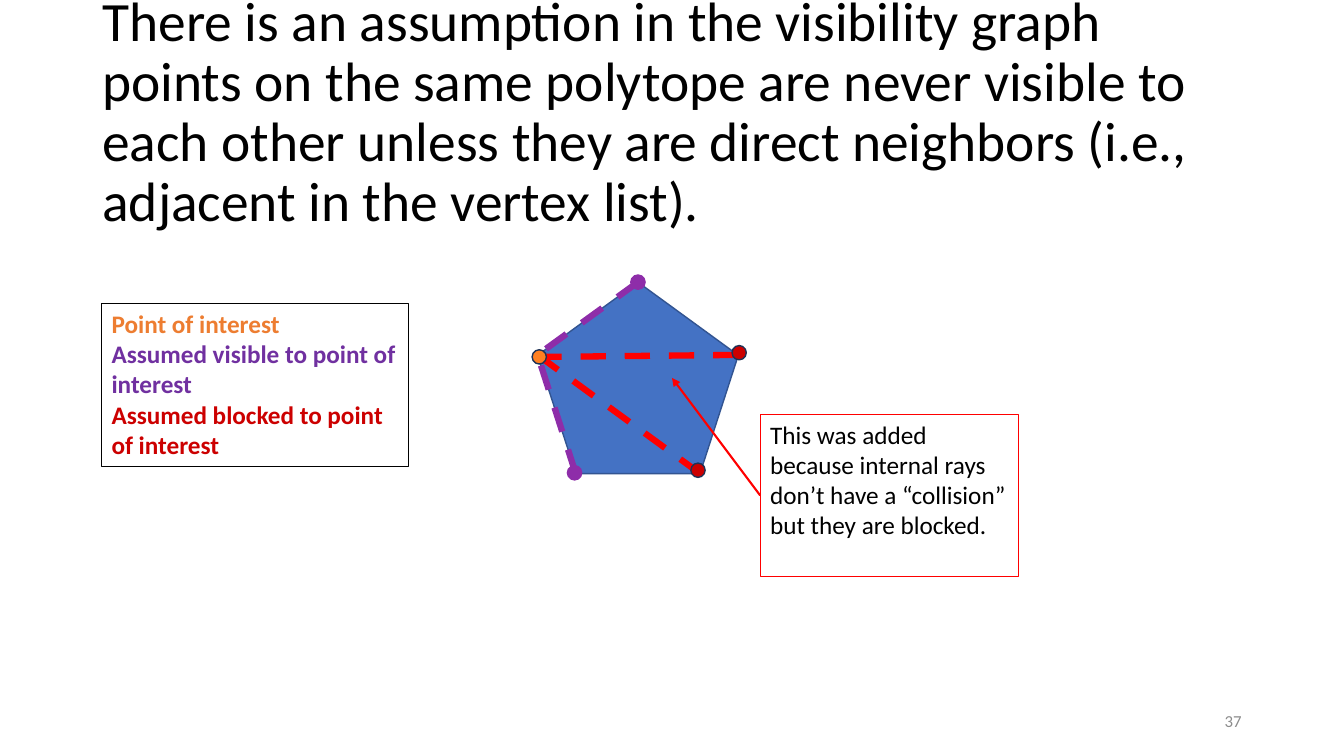
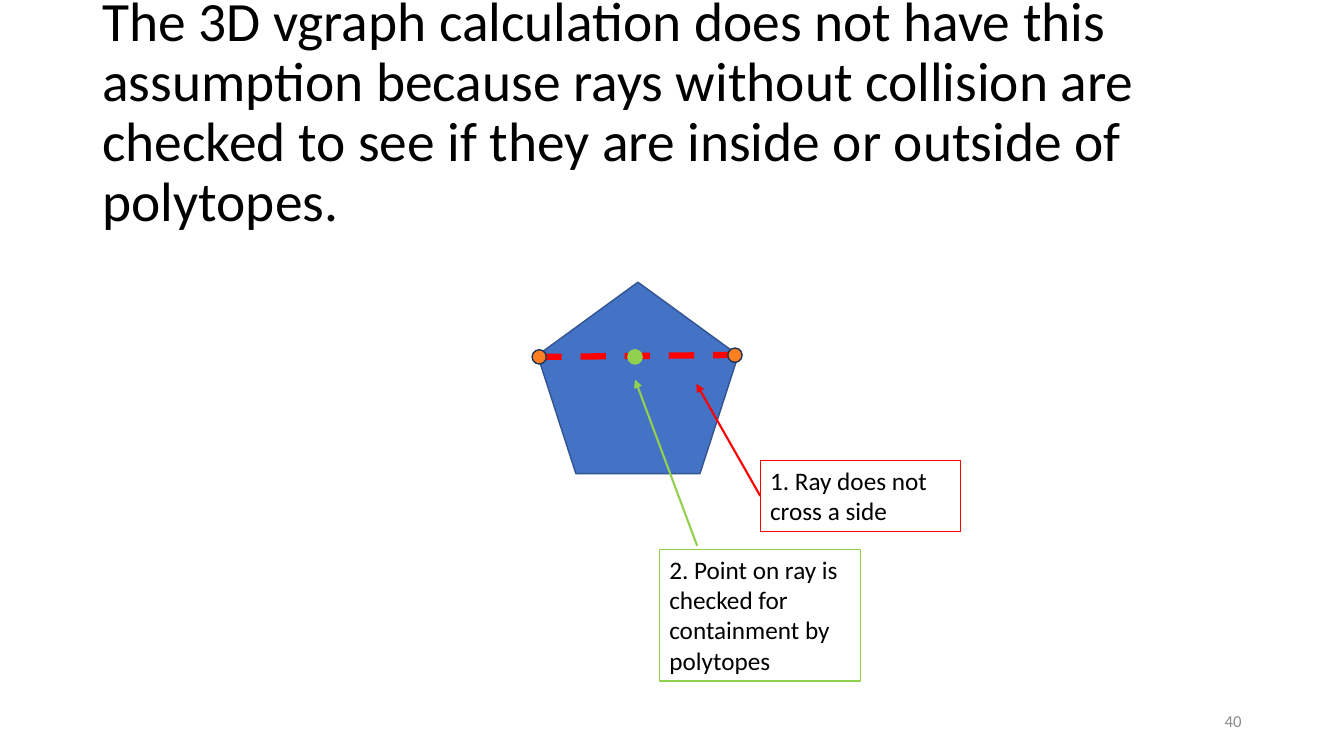
from dataclasses import dataclass
from typing import NamedTuple, Optional

from lxml.etree import SubElement
from pptx import Presentation
from pptx.dml.color import RGBColor
from pptx.enum.dml import MSO_LINE_DASH_STYLE as Dash
from pptx.enum.shapes import MSO_CONNECTOR as Connector, MSO_SHAPE as Shape
from pptx.enum.text import MSO_ANCHOR as Anchor, PP_ALIGN as Align
from pptx.oxml.ns import qn
from pptx.util import Inches, Pt

SLIDE_WIDTH, SLIDE_HEIGHT = Inches(13.33), Inches(7.5)
COLUMNS = 160  # the grid has 160 x 90 square cells
CELL = SLIDE_WIDTH / COLUMNS
FONT = "Calibri"
BLACK, GREY, NAVY = "000000", "8C8C8C", "1E3256"
BLUE, BLUE_EDGE = "4472C4", "325491"
RED, DARK_RED = "FF0000", "CC0000"
ORANGE, ORANGE_TEXT = "FF8021", "ED7D31"
PURPLE, PURPLE_TEXT = "8E2DA9", "7030A0"
GREEN = "92D050"
DOT_SIZE = 1.7
LEFT_SIDE = 1


class Point(NamedTuple):
    column: float
    row: float


class Area(NamedTuple):
    column: float
    row: float
    columns: float
    rows: float

    def at(self, across: float, down: float) -> Point:
        return Point(self.column + across * self.columns, self.row + down * self.rows)


class Line(NamedTuple):
    text: str
    color: str = BLACK
    bold: bool = False


@dataclass
class Dot:
    center: Point
    fill: str
    edge: str = NAVY


@dataclass
class Ray:
    start: Point
    end: Point
    color: str = RED


@dataclass
class Note:
    area: Area
    lines: list[Line]
    edge: str
    target: Optional[Point] = None
    start: Optional[Point] = None  # without it the arrow leaves the left side


@dataclass
class Page:
    title: str
    number: str
    rays: list[Ray]
    dots: list[Dot]
    notes: list[Note]


TITLE = Area(11, 4.8, 138, 17.4)
NUMBER = Area(113, 83.4, 36, 4.8)
PENTAGON = Area(64, 33.6, 23.9, 22.8)
TOP = PENTAGON.at(0.5, 0)
LEFT, RIGHT = PENTAGON.at(0, 0.38), PENTAGON.at(1, 0.38)
BOTTOM_LEFT, BOTTOM_RIGHT = PENTAGON.at(0.19, 1), PENTAGON.at(0.81, 1)
CROSSING_RAY = Ray(RIGHT, Point(65, 42.5))
INTEREST_DOT = Dot(Point(64.2, 42.5), ORANGE)

PAGES = [
    Page(
        "There is an assumption in the visibility graph points on the same polytope are never "
        "visible to each other unless they are direct neighbors (i.e., adjacent in the vertex list).",
        "37",
        [Ray(LEFT, BOTTOM_RIGHT), CROSSING_RAY,
         Ray(BOTTOM_LEFT, LEFT, PURPLE), Ray(TOP, LEFT, PURPLE)],
        [Dot(Point(88, 42), DARK_RED), Dot(TOP, PURPLE, PURPLE),
         Dot(Point(83.1, 56), DARK_RED), Dot(Point(68.4, 56.3), PURPLE, PURPLE), INTEREST_DOT],
        [Note(Area(12.1, 36.1, 36.5, 19.4),
              [Line("Point of interest", ORANGE_TEXT, True),
               Line("Assumed visible to point of interest", PURPLE_TEXT, True),
               Line("Assumed blocked to point of interest", DARK_RED, True)], BLACK),
         Note(Area(90.5, 49.3, 30.7, 19.4),
              [Line("This was added because internal rays don’t have a “collision” "
                    "but they are blocked.")], RED, Point(80, 45))],
    ),
    Page(
        "The 3D vgraph calculation does not have this assumption because rays without collision "
        "are checked to see if they are inside or outside of polytopes.",
        "40",
        [CROSSING_RAY],
        [Dot(Point(75.6, 42.5), GREEN, GREEN), INTEREST_DOT, Dot(Point(87.5, 42.3), ORANGE)],
        [Note(Area(90.5, 54.8, 23.9, 8.5), [Line("1. Ray does not cross a side")],
              RED, Point(82.9, 45.7)),
         Note(Area(78.5, 65.4, 23.9, 15.7),
              [Line("2. Point on ray is checked for containment by polytopes")],
              GREEN, Point(75.6, 45.2), Point(83, 65))],
    ),
]


def rgb(value: str) -> RGBColor:
    return RGBColor.from_string(value)


def cells(lengths: tuple) -> list[int]:
    """Turn grid lengths into slide units."""
    return [round(length * CELL) for length in lengths]


def add_figure(slide, kind: Shape, area: Area, edge: str, width: float, fill: Optional[str] = None):
    shape = slide.shapes.add_shape(kind, *cells(area))
    shape.shadow.inherit = False
    if fill:
        shape.fill.solid()
        shape.fill.fore_color.rgb = rgb(fill)
    else:
        shape.fill.background()
    shape.line.color.rgb = rgb(edge)
    shape.line.width = Pt(width)
    return shape


def add_line(slide, start: Point, end: Point, color: str, width: float):
    line = slide.shapes.add_connector(Connector.STRAIGHT, *cells(start), *cells(end))
    line.line.color.rgb = rgb(color)
    line.line.width = Pt(width)
    SubElement(line._element.spPr, qn("a:effectLst"))
    return line


def write(shape, lines: list[Line], size: float, anchor: Anchor,
          align: Align = Align.LEFT, spacing: float = 1.0) -> None:
    frame = shape.text_frame
    frame.word_wrap = True
    frame.vertical_anchor = anchor
    frame.text = "\n".join(line.text for line in lines)
    for paragraph, line in zip(frame.paragraphs, lines):
        paragraph.alignment = align
        paragraph.line_spacing = spacing
        font = paragraph.runs[0].font
        font.name, font.size, font.bold = FONT, Pt(size), line.bold
        font.color.rgb = rgb(line.color)


def add_ray(slide, ray: Ray) -> None:
    line = add_line(slide, ray.start, ray.end, ray.color, 4.5)
    line.line.dash_style = Dash.DASH


def add_dot(slide, dot: Dot) -> None:
    corner = [position - DOT_SIZE / 2 for position in dot.center]
    add_figure(slide, Shape.OVAL, Area(*corner, DOT_SIZE, DOT_SIZE), dot.edge, 1, dot.fill)


def add_note(slide, note: Note) -> None:
    """Draw a framed note and the arrow to what it explains."""
    box = add_figure(slide, Shape.RECTANGLE, note.area, note.edge, 0.75)
    write(box, note.lines, 18, Anchor.TOP)
    if note.target:
        start = note.start or note.area.at(0, 0.5)
        arrow = add_line(slide, start, note.target, note.edge, 1.5)
        SubElement(arrow.line._get_or_add_ln(), qn("a:tailEnd"), type="triangle")
        if not note.start:
            arrow.begin_connect(box, LEFT_SIDE)


def add_page(presentation, page: Page) -> None:
    slide = presentation.slides.add_slide(presentation.slide_layouts[6])
    add_figure(slide, Shape.REGULAR_PENTAGON, PENTAGON, BLUE_EDGE, 1, BLUE)
    for ray in page.rays:
        add_ray(slide, ray)
    title = slide.shapes.add_textbox(*cells(TITLE))
    write(title, [Line(page.title)], 39.6, Anchor.MIDDLE, spacing=0.9)
    number = slide.shapes.add_textbox(*cells(NUMBER))
    write(number, [Line(page.number, GREY)], 12, Anchor.MIDDLE, Align.RIGHT)
    for dot in page.dots:
        add_dot(slide, dot)
    for note in page.notes:
        add_note(slide, note)


def main() -> None:
    presentation = Presentation()
    presentation.slide_width, presentation.slide_height = SLIDE_WIDTH, SLIDE_HEIGHT
    for page in PAGES:
        add_page(presentation, page)
    presentation.save("out.pptx")


if __name__ == "__main__":
    main()
